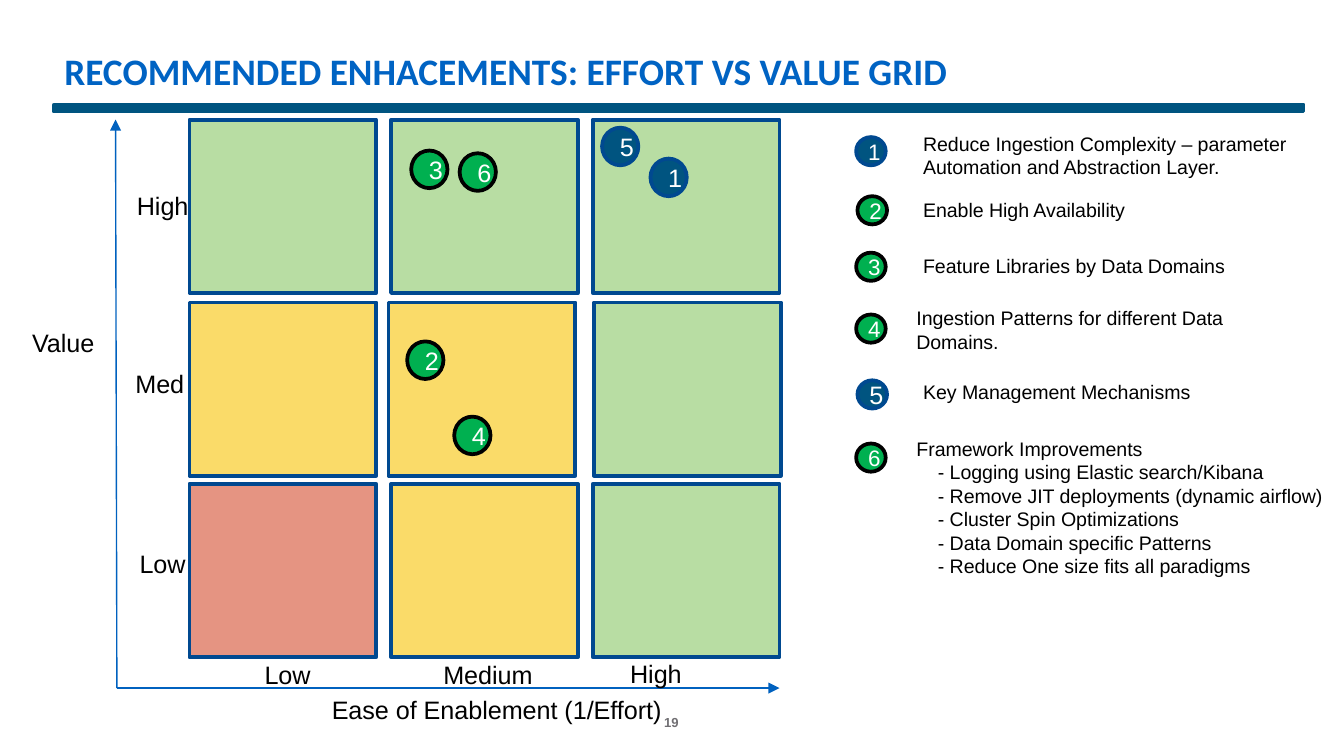
"""Build the effort versus value grid slide."""
import pptx
import pptx.dml.color
import pptx.enum.shapes
import pptx.enum.text
import pptx.oxml.ns
import pptx.util
from lxml import etree
from pptx.util import Inches

COLORS = {
    "green": "B8DDA3", "yellow": "FADB69", "red": "E59482", "navy": "004990",
    "teal": "005480", "emerald": "00B050", "black": "000000", "white": "FFFFFF",
    "axis": "0061BF", "title": "0063C3", "gray": "716F73",
}
TITLE = "RECOMMENDED ENHACEMENTS: EFFORT VS VALUE GRID"
GRID_ROWS = [
    (0.89, (1.41, 2.91, 4.41), ("green", "green", "green")),
    (2.25, (1.41, 2.89, 4.42), ("yellow", "yellow", "green")),
    (3.6, (1.41, 2.91, 4.41), ("red", "yellow", "green")),
]
CELL_WIDTH, CELL_HEIGHT = 1.39, 1.29
AXES = [((0.87, 5.12), (0.86, 0.89)), ((0.87, 5.12), (5.8, 5.12))]
AXIS_LABELS = [
    ("Ease of Enablement (1/Effort)", 2.37, 5.12, 2.69),
    ("Value", 0.14, 2.39, 0.67),
    ("Low", 1.87, 4.86, 0.55),
    ("Medium", 3.2, 4.86, 0.88),
    ("High", 4.59, 4.85, 0.59),
    ("Low", 0.94, 4.03, 0.55),
    ("Med", 0.91, 2.69, 0.57),
    ("High", 0.92, 1.37, 0.59),
]
BADGE_STYLES = {
    1: ("teal", "navy"), 2: ("emerald", "black"), 3: ("emerald", "black"),
    4: ("emerald", "black"), 5: ("teal", "navy"), 6: ("emerald", "black"),
}
GRID_BADGES = [
    (1, 4.84, 1.18), (2, 3.03, 2.54), (3, 3.06, 1.12),
    (4, 3.38, 3.1), (5, 4.48, 0.95), (6, 3.42, 1.14),
]
LEGEND = [
    (1, 6.37, 1.02, 12, 6.77, 0.93, 3.11, 0.45,
     ["Reduce Ingestion Complexity – parameter Automation and Abstraction Layer."]),
    (2, 6.38, 1.46, 12, 6.77, 1.42, 3.11, 0.28, ["Enable High Availability"]),
    (3, 6.37, 1.88, 12, 6.77, 1.84, 3.11, 0.28, ["Feature Libraries by Data Domains"]),
    (4, 6.37, 2.34, 12, 6.72, 2.23, 3.11, 0.45,
     ["Ingestion Patterns for different Data Domains."]),
    (5, 6.38, 2.83, 13.5, 6.77, 2.78, 3.11, 0.28, ["Key Management Mechanisms"]),
    (6, 6.37, 3.3, 12, 6.72, 3.2, 3.28, 1.16,
     ["Framework Improvements", "- Logging using Elastic search/Kibana",
      "- Remove JIT deployments (dynamic airflow)", "- Cluster Spin Optimizations",
      "- Data Domain specific Patterns", "- Reduce One size fits all paradigms"]),
]
SUBITEM_INDENT = 0.16
CENTER = pptx.enum.text.PP_ALIGN.CENTER
BOTTOM = pptx.enum.text.MSO_ANCHOR.BOTTOM


def rgb(name):
    return pptx.dml.color.RGBColor.from_string(COLORS[name])


def add_run(paragraph, text, size, color, font="Arial", bold=False):
    run = paragraph.add_run()
    run.text = text
    run.font.name = font
    run.font.size = pptx.util.Pt(size)
    run.font.bold = bold
    run.font.color.rgb = rgb(color)


def add_shape(slide, kind, box, fill, line):
    shape = slide.shapes.add_shape(kind, *map(Inches, box))
    shape.shadow.inherit = False
    shape.fill.solid()
    shape.fill.fore_color.rgb = rgb(fill)
    shape.line.color.rgb = rgb(line)
    shape.line.width = pptx.util.Pt(2)
    return shape


def add_rectangle(slide, box, fill, line):
    add_shape(slide, pptx.enum.shapes.MSO_SHAPE.RECTANGLE, box, fill, line)


def add_badge(slide, number, box, size):
    shape = add_shape(slide, pptx.enum.shapes.MSO_SHAPE.OVAL, box, *BADGE_STYLES[number])
    shape.text_frame.vertical_anchor = pptx.enum.text.MSO_ANCHOR.MIDDLE
    paragraph = shape.text_frame.paragraphs[0]
    paragraph.alignment = CENTER
    add_run(paragraph, str(number), size, "white")


def add_text(slide, lines, box, size, color="black", wrap=True, **style):
    frame = slide.shapes.add_textbox(*map(Inches, box)).text_frame
    frame.word_wrap = wrap
    for index, line in enumerate(lines):
        paragraph = frame.add_paragraph() if index else frame.paragraphs[0]
        if index:
            properties = paragraph._p.get_or_add_pPr()
            properties.set("marL", str(Inches(SUBITEM_INDENT)))
            properties.set("indent", "0")
        add_run(paragraph, line, size, color, **style)
    return frame


def add_axis(slide, start, end):
    connector = slide.shapes.add_connector(
        pptx.enum.shapes.MSO_CONNECTOR.STRAIGHT, *map(Inches, start + end))
    connector.line.color.rgb = rgb("axis")
    connector.line.width = pptx.util.Pt(0.75)
    line = connector.line._get_or_add_ln()
    etree.SubElement(line, pptx.oxml.ns.qn("a:tailEnd"), type="triangle")
    etree.SubElement(connector._element.spPr, pptx.oxml.ns.qn("a:effectLst"))


def main():
    presentation = pptx.Presentation()
    presentation.slide_width = Inches(10)
    presentation.slide_height = Inches(10 * 9 / 16)
    slide = presentation.slides.add_slide(presentation.slide_layouts[6])

    page = add_text(slide, ["19"], (4.54, 5.13, 0.91, 0.3), 7, "gray", bold=True)
    page.vertical_anchor = BOTTOM
    page.margin_left = page.margin_right = page.margin_top = page.margin_bottom = 0
    page.paragraphs[0].alignment = CENTER

    for top, lefts, fills in GRID_ROWS:
        for left, fill in zip(lefts, fills):
            add_rectangle(slide, (left, top, CELL_WIDTH, CELL_HEIGHT), fill, "navy")
    for start, end in AXES:
        add_axis(slide, start, end)
    for label, left, top, width in AXIS_LABELS:
        add_text(slide, [label], (left, top, width, 0.33), 13.5, wrap=False)
    for number, left, top in GRID_BADGES:
        add_badge(slide, number, (left, top, 0.27, 0.28), 13.5)
    for number, badge_left, badge_top, size, left, top, width, height, lines in LEGEND:
        add_badge(slide, number, (badge_left, badge_top, 0.22, 0.21), size)
        add_text(slide, lines, (left, top, width, height), 10.5)

    title = add_text(slide, [TITLE], (0.38, 0.3, 6.82, 0.44), 20, "title",
                     font="Calibri", bold=True)
    title.vertical_anchor = BOTTOM
    add_rectangle(slide, (0.4, 0.78, 9.3, 0.05), "teal", "teal")
    presentation.save("out.pptx")


if __name__ == "__main__":
    main()
